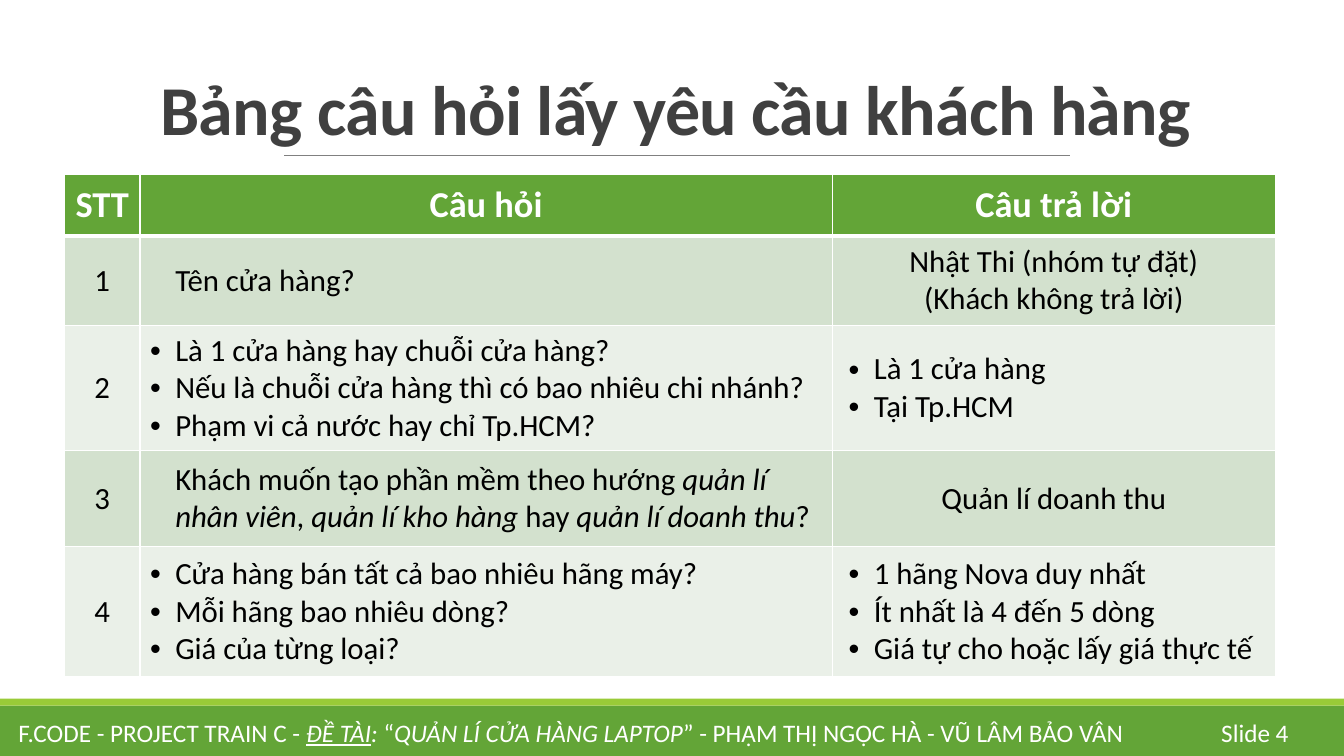
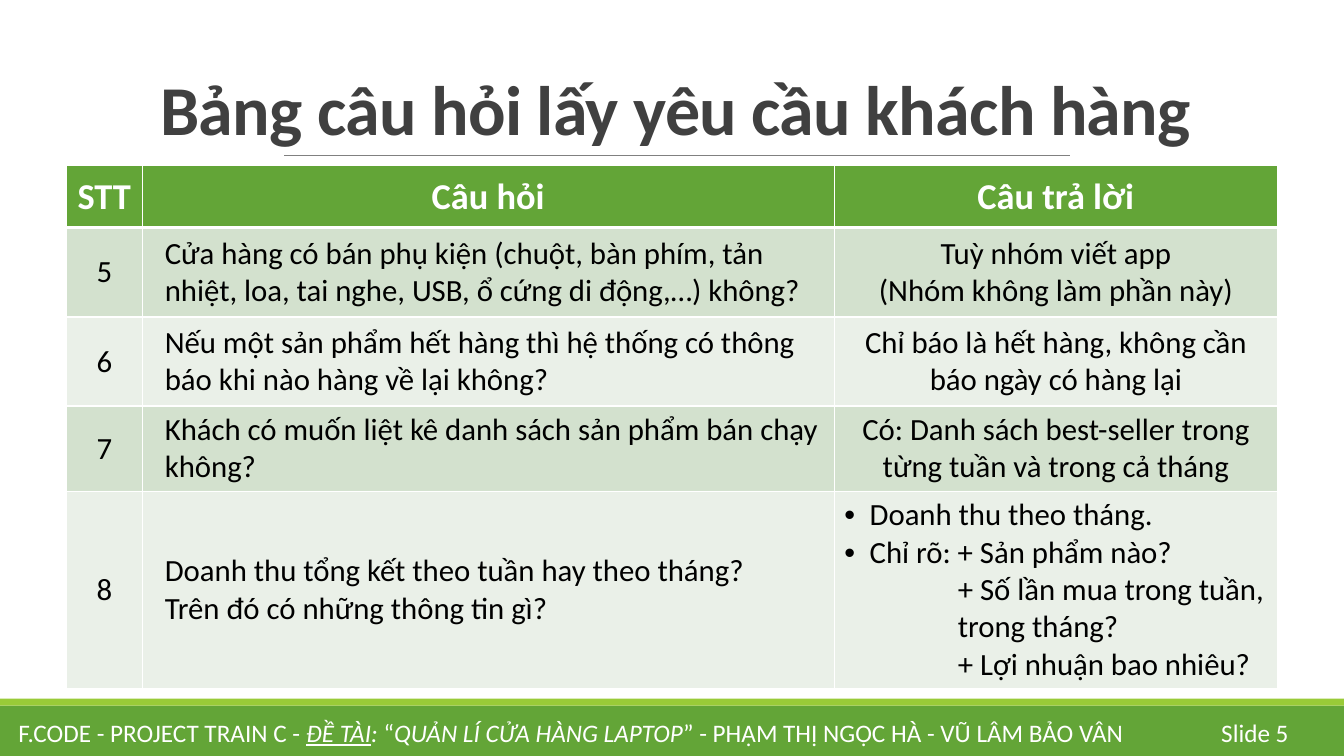
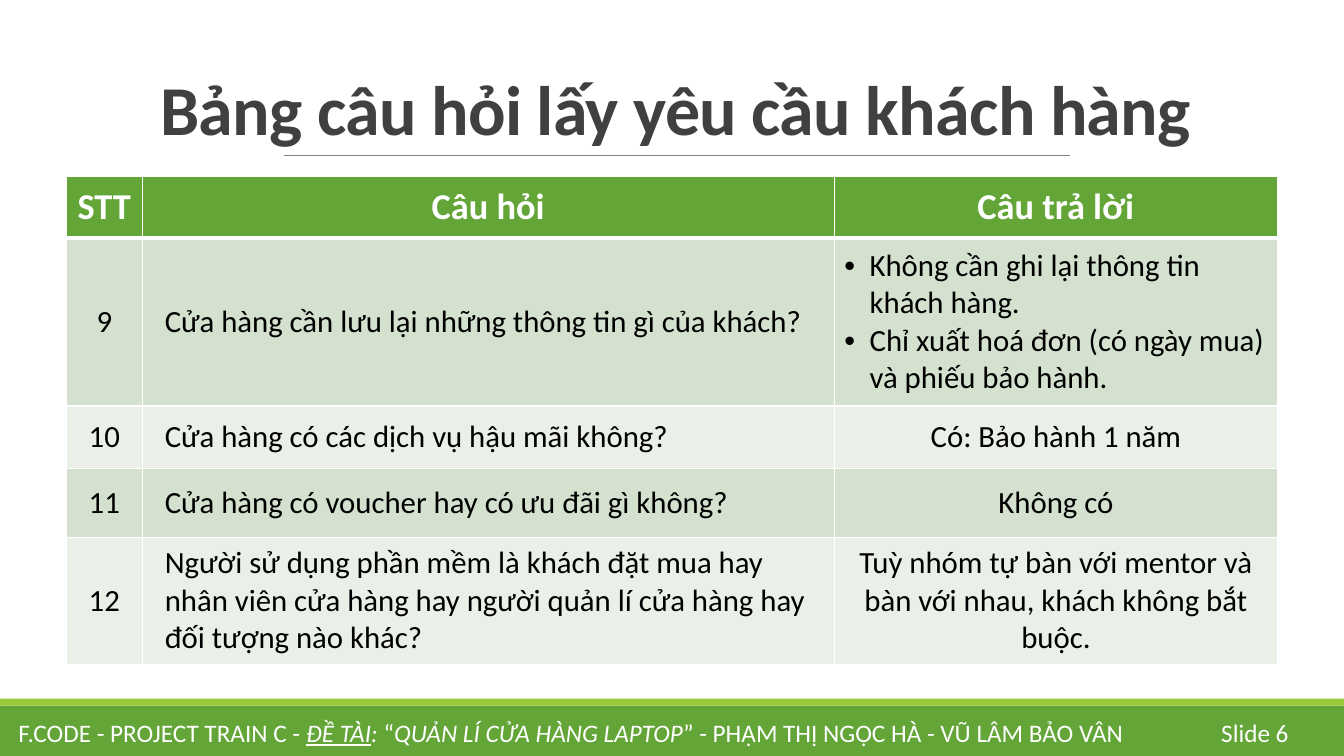
"""Build three slides of a customer questionnaire with python-pptx."""
from lxml import etree
from pptx import Presentation
from pptx.dml.color import RGBColor
from pptx.enum.shapes import MSO_CONNECTOR, MSO_SHAPE
from pptx.enum.text import MSO_ANCHOR, PP_ALIGN
from pptx.oxml.ns import qn
from pptx.util import Pt

RECT = MSO_SHAPE.RECTANGLE
STRAIGHT = MSO_CONNECTOR.STRAIGHT
MIDDLE, BOTTOM = MSO_ANCHOR.MIDDLE, MSO_ANCHOR.BOTTOM
LEFT, CENTER, RIGHT = PP_ALIGN.LEFT, PP_ALIGN.CENTER, PP_ALIGN.RIGHT

FONT = "Calibri"
GREEN, LIME, GREY, DARK = "63A537", "99CB38", "808080", "404040"
WHITE, BLACK = "FFFFFF", "000000"
BANDS = ("D3E1CE", "EAF0E8")

TITLE = "Bảng câu hỏi lấy yêu cầu khách hàng"
HEADERS = ("STT", "Câu hỏi", "Câu trả lời")
COLUMNS = (54, 494.5, 316.5)
HEADER_HEIGHT = 44
FOOTER = [
    ("F.CODE - PROJECT TRAIN C - ", ""),
    ("ĐỀ TÀI", "iu"),
    (": ", "i"),
    ("“", ""),
    ("QUẢN LÍ CỬA HÀNG LAPTOP", "i"),
    ("” - PHẠM THỊ NGỌC HÀ - VŨ LÂM BẢO VÂN", ""),
]

STYLES = {
    "center": (CENTER, 0, 0),
    "deep": (LEFT, 18, 0),
    "plain": (LEFT, 9, 0),
    "bullet": (LEFT, 18, -18),
    "inset": (LEFT, 22.5, -18),
    "sub": (LEFT, 81, 0),
}

SLIDES = [
    (4, 46, 124.5, [
        (64, [("deep", "Tên cửa hàng?")],
         [("center", "Nhật Thi (nhóm tự đặt)"),
          ("center", "(Khách không trả lời)")]),
        (89.5, [("bullet", "Là 1 cửa hàng hay chuỗi cửa hàng?"),
                ("bullet", "Nếu là chuỗi cửa hàng thì có bao nhiêu chi nhánh?"),
                ("bullet", "Phạm vi cả nước hay chỉ Tp.HCM?")],
         [("inset", "Là 1 cửa hàng"), ("inset", "Tại Tp.HCM")]),
        (68.5, [("deep", [("Khách muốn tạo phần mềm theo hướng ", ""),
                          ("quản lí nhân viên", "i"), (", ", ""),
                          ("quản lí kho hàng ", "i"), ("hay ", ""),
                          ("quản lí doanh thu", "i"), ("?", "")])],
         [("center", "Quản lí doanh thu")]),
        (93, [("bullet", "Cửa hàng bán tất cả bao nhiêu hãng máy?"),
              ("bullet", "Mỗi hãng bao nhiêu dòng?"),
              ("bullet", "Giá của từng loại?")],
         [("inset", "1 hãng Nova duy nhất"),
          ("inset", "Ít nhất là 4 đến 5 dòng"),
          ("inset", "Giá tự cho hoặc lấy giá thực tế")]),
    ]),
    (5, 47.5, 118.5, [
        (64, [("plain", "Cửa hàng có bán phụ kiện (chuột, bàn phím, tản nhiệt, "
                        "loa, tai nghe, USB, ổ cứng di động,…) không?")],
         [("center", "Tuỳ nhóm viết app"),
          ("center", "(Nhóm không làm phần này)")]),
        (63.5, [("plain", "Nếu một sản phẩm hết hàng thì hệ thống có thông báo "
                          "khi nào hàng về lại không?")],
         [("center", "Chỉ báo là hết hàng, không cần báo ngày có hàng lại")]),
        (61, [("plain", "Khách có muốn liệt kê danh sách sản phẩm bán chạy không?")],
         [("center", "Có: Danh sách best-seller trong từng tuần và trong cả tháng")]),
        (141, [("plain", "Doanh thu tổng kết theo tuần hay theo tháng?"),
               ("plain", "Trên đó có những thông tin gì?")],
         [("bullet", "Doanh thu theo tháng."),
          ("bullet", "Chỉ rõ: + Sản phẩm nào?"),
          ("sub", "+ Số lần mua trong tuần, trong tháng?"),
          ("sub", "+ Lợi nhuận bao nhiêu?")]),
    ]),
    (6, 47.5, 126, [
        (120, [("plain", "Cửa hàng cần lưu lại những thông tin gì của khách?")],
         [("bullet", "Không cần ghi lại thông tin khách hàng."),
          ("bullet", "Chỉ xuất hoá đơn (có ngày mua) và phiếu bảo hành.")]),
        (44.5, [("plain", "Cửa hàng có các dịch vụ hậu mãi không?")],
         [("center", "Có: Bảo hành 1 năm")]),
        (49.5, [("plain", "Cửa hàng có voucher hay có ưu đãi gì không?")],
         [("center", "Không có")]),
        (90.5, [("plain", "Người sử dụng phần mềm là khách đặt mua hay nhân viên "
                          "cửa hàng hay người quản lí cửa hàng hay đối tượng nào khác?")],
         [("center", "Tuỳ nhóm tự bàn với mentor và bàn với nhau, "
                     "khách không bắt buộc.")]),
    ]),
]


def rgb(value):
    """Turn a hex string into a colour."""
    return RGBColor.from_string(value)


def write(p, content, size, color, align=LEFT, bold=False):
    """Fill a paragraph from a string or a list of (text, flags)."""
    p.alignment = align
    f = p.font
    f.name, f.size, f.bold = FONT, Pt(size), bold
    f.color.rgb = rgb(color)
    for text, flags in [(content, "")] if isinstance(content, str) else content:
        r = p.add_run()
        r.text = text
        if "i" in flags:
            r.font.italic = True
        if "u" in flags:
            r.font.underline = True


def add_text(s, box, content, size, color, align=LEFT, bold=False, anchor=MIDDLE):
    """Add a one-paragraph text box and return the paragraph."""
    tf = s.shapes.add_textbox(*map(Pt, box)).text_frame
    tf.word_wrap = True
    tf.vertical_anchor = anchor
    p = tf.paragraphs[0]
    write(p, content, size, color, align, bold)
    return p


def add_band(s, top, height, color):
    """Add a full-width coloured band."""
    sp = s.shapes.add_shape(RECT, 0, Pt(top), Pt(960), Pt(height))
    sp.shadow.inherit = False
    sp.fill.solid()
    sp.fill.fore_color.rgb = rgb(color)
    sp.line.fill.background()


def add_rule(s, left, right, y):
    """Add the thin line under the title."""
    line = s.shapes.add_connector(STRAIGHT, Pt(left), Pt(y), Pt(right), Pt(y))
    line.line.color.rgb = rgb(GREY)
    line.line.width = Pt(0.5)
    etree.SubElement(line._element.spPr, qn("a:effectLst"))


def add_frame(s, number):
    """Add the bands, title, rule and footer that all slides share."""
    add_band(s, 504, 36, GREEN)
    add_band(s, 499, 5, LIME)
    add_rule(s, 203, 764.5, 111)
    p = add_text(s, (86.5, 22.5, 792, 88), TITLE, 50, DARK, CENTER, True, BOTTOM)
    p.line_spacing = 0.85
    p.runs[0].font._element.set("spc", "-50")
    add_text(s, (851, 508.5, 76.5, 29), f"Slide {number}", 18, WHITE, RIGHT)
    add_text(s, (6, 508.5, 807, 29), FOOTER, 18, WHITE)


def set_borders(cell, top, bottom):
    """Give a cell white borders; side borders are one point wide."""
    tcPr = cell._tc.get_or_add_tcPr()
    for side, width in (("L", 1), ("R", 1), ("T", top), ("B", bottom)):
        ln = etree.SubElement(tcPr, qn(f"a:ln{side}"), w=str(Pt(width)))
        fill = etree.SubElement(ln, qn("a:solidFill"))
        etree.SubElement(fill, qn("a:srgbClr"), val=WHITE)


def set_indent(p, left, first):
    """Set a paragraph's indent, with a bullet if the first line hangs."""
    pPr = p._p.get_or_add_pPr()
    pPr.set("marL", str(Pt(left)))
    pPr.set("indent", str(Pt(first)))
    if first:
        font = etree.Element(qn("a:buFont"), typeface="Arial")
        char = etree.Element(qn("a:buChar"), char="•")
        pPr.insert(0, font)
        pPr.insert(1, char)


def fill_cell(cell, paragraphs, fill, size, color, bold, top=1, bottom=1):
    """Fill a cell with styled paragraphs."""
    set_borders(cell, top, bottom)
    cell.fill.solid()
    cell.fill.fore_color.rgb = rgb(fill)
    cell.vertical_anchor = MIDDLE
    tf = cell.text_frame
    for i, (style, content) in enumerate(paragraphs):
        p = tf.add_paragraph() if i else tf.paragraphs[0]
        align, left, first = STYLES[style]
        write(p, content, size, color, align, bold)
        set_indent(p, left, first)


def add_questions(s, left, top, first_number, rows):
    """Add the table of numbered questions and answers."""
    heights = [HEADER_HEIGHT] + [row[0] for row in rows]
    box = (left, top, sum(COLUMNS), sum(heights))
    table = s.shapes.add_table(len(heights), len(COLUMNS), *map(Pt, box)).table
    table.horz_banding = False
    for column, width in zip(table.columns, COLUMNS):
        column.width = Pt(width)
    for row, height in zip(table.rows, heights):
        row.height = Pt(height)
    for c, header in enumerate(HEADERS):
        fill_cell(table.cell(0, c), [("center", header)], GREEN, 26, WHITE, True, bottom=3)
    for i, (_, question, answer) in enumerate(rows):
        number = [("center", str(first_number + i))]
        for c, paragraphs in enumerate((number, question, answer)):
            fill_cell(table.cell(i + 1, c), paragraphs, BANDS[i % 2], 22, BLACK, False,
                      top=1 if i else 3)


def main():
    """Build and save the presentation."""
    prs = Presentation()
    prs.slide_width, prs.slide_height = Pt(960), Pt(540)
    first_number = 1
    for number, left, top, rows in SLIDES:
        s = prs.slides.add_slide(prs.slide_layouts[6])
        add_frame(s, number)
        add_questions(s, left, top, first_number, rows)
        first_number += len(rows)
    prs.save("out.pptx")


if __name__ == "__main__":
    main()
